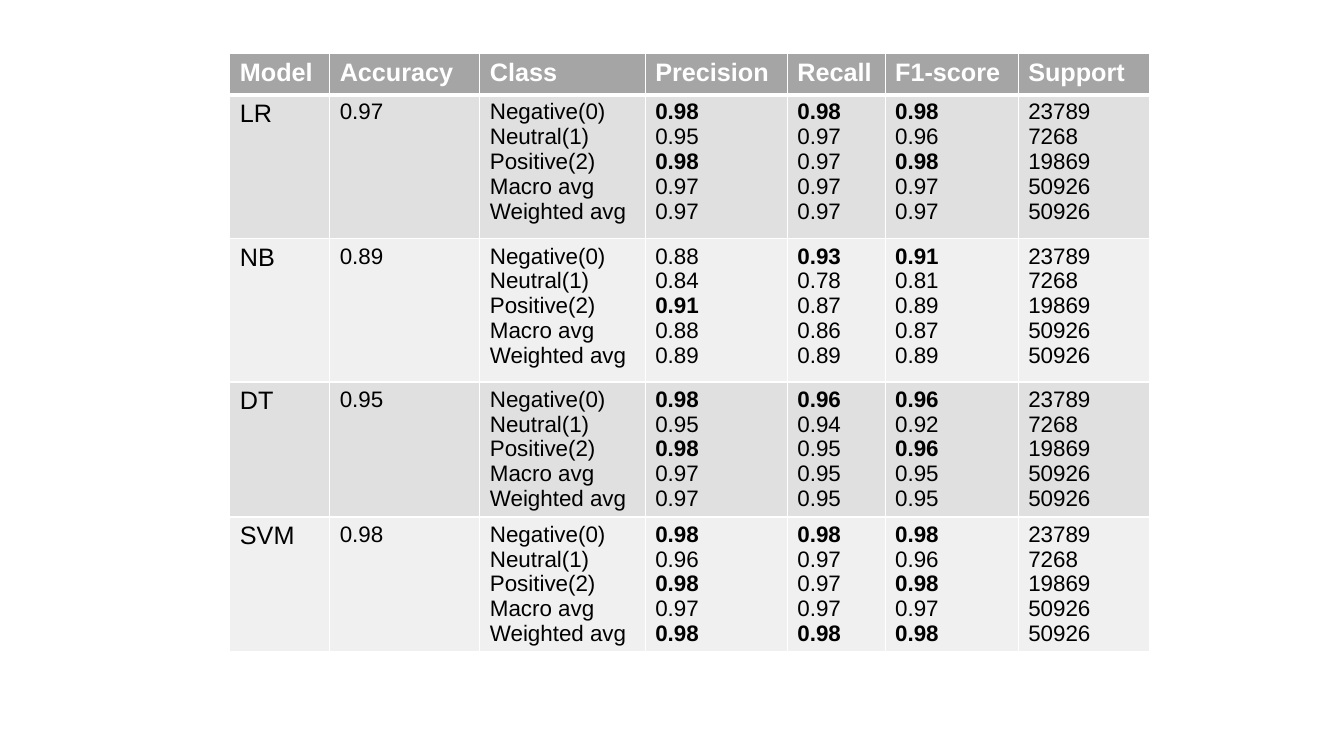
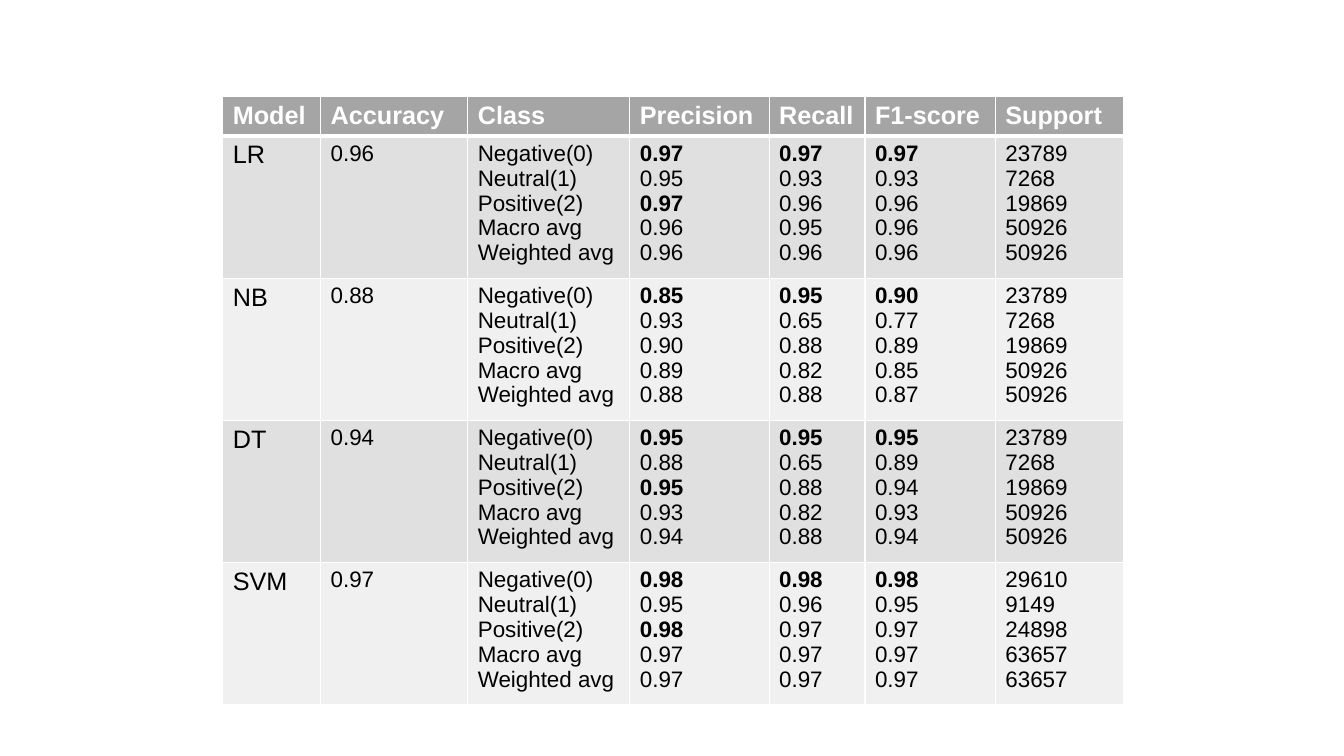
import pptx
import pptx.util
import pptx.dml.color
import pptx.oxml.ns
import lxml.etree

# Theme
THEME = {
    "font": "Arial", "big": 18, "small": 16,
    "head": "A5A5A5", "bands": ("E0E0E0", "F0F0F0"),
    "light": "FFFFFF", "dark": "000000",
    "thin": 1, "thick": 3,
}
SIZE = (13.33, 7.5)

# Content: a star marks a bold score
HEADS = ["Model", "Accuracy", "Class", "Precision", "Recall", "F1-score", "Support"]
CLASSES = ["Negative(0)", "Neutral(1)", "Positive(2)", "Macro avg", "Weighted avg"]
COUNTS = "23789 7268 19869 50926 50926"
COLS = [0.99, 1.49, 1.64, 1.41, 0.97, 1.32, 1.3]

# Each model: name, accuracy, precision, recall, F1-score, support
TABLES = [
    {
        "left": 2.28, "top": 0.53, "scale": 1,
        "rows": [0.41, 1.43, 1.42, 1.34, 1.34],
        "models": [
            ("LR", "0.97", "*0.98 0.95 *0.98 0.97 0.97",
             "*0.98 0.97 0.97 0.97 0.97", "*0.98 0.96 *0.98 0.97 0.97", COUNTS),
            ("NB", "0.89", "0.88 0.84 *0.91 0.88 0.89",
             "*0.93 0.78 0.87 0.86 0.89", "*0.91 0.81 0.89 0.87 0.89", COUNTS),
            ("DT", "0.95", "*0.98 0.95 *0.98 0.97 0.97",
             "*0.96 0.94 0.95 0.95 0.95", "*0.96 0.92 *0.96 0.95 0.95", COUNTS),
            ("SVM", "0.98", "*0.98 0.96 *0.98 0.97 *0.98",
             "*0.98 0.97 0.97 0.97 *0.98", "*0.98 0.96 *0.98 0.97 *0.98", COUNTS),
        ],
    },
    {
        "left": 2.21, "top": 0.96, "scale": 0.98,
        "rows": [0.39] + [1.41] * 4,
        "models": [
            ("LR", "0.96", "*0.97 0.95 *0.97 0.96 0.96",
             "*0.97 0.93 0.96 0.95 0.96", "*0.97 0.93 0.96 0.96 0.96", COUNTS),
            ("NB", "0.88", "*0.85 0.93 0.90 0.89 0.88",
             "*0.95 0.65 0.88 0.82 0.88", "*0.90 0.77 0.89 0.85 0.87", COUNTS),
            ("DT", "0.94", "*0.95 0.88 *0.95 0.93 0.94",
             "*0.95 0.65 0.88 0.82 0.88", "*0.95 0.89 0.94 0.93 0.94", COUNTS),
            ("SVM", "0.97", "*0.98 0.95 *0.98 0.97 0.97",
             "*0.98 0.96 0.97 0.97 0.97", "*0.98 0.95 0.97 0.97 0.97",
             "29610 9149 24898 63657 63657"),
        ],
    },
]


def color(code):
    return pptx.dml.color.RGBColor.from_string(code)


def write(frame, lines, size=THEME["small"], ink=THEME["dark"], bold=False):
    """Write one paragraph per line; a leading star makes it bold."""
    for i, line in enumerate(lines):
        para = frame.paragraphs[0] if i == 0 else frame.add_paragraph()
        run = para.add_run()
        run.text = line.lstrip("*")
        font = run.font
        font.name = THEME["font"]
        font.size = pptx.util.Pt(size)
        font.bold = bold or line.startswith("*")
        font.color.rgb = color(ink)


def edge(cell, top, base):
    """Draw the four white borders of a cell."""
    qn = pptx.oxml.ns.qn
    props = cell._tc.get_or_add_tcPr()
    for side, width in zip("LRTB", (THEME["thin"], THEME["thin"], top, base)):
        line = lxml.etree.SubElement(props, qn("a:ln" + side),
                                     w=str(pptx.util.Pt(width)))
        fill = lxml.etree.SubElement(line, qn("a:solidFill"))
        lxml.etree.SubElement(fill, qn("a:srgbClr"), val=THEME["light"])


def build(slide, data):
    """Add one table of scores to the slide."""
    inch = pptx.util.Inches
    cols = [width * data["scale"] for width in COLS]
    rows = data["rows"]
    grid = slide.shapes.add_table(
        len(rows), len(cols), inch(data["left"]), inch(data["top"]),
        inch(sum(cols)), inch(sum(rows))).table
    for col, width in zip(grid.columns, cols):
        col.width = inch(width)
    for row, height in zip(grid.rows, rows):
        row.height = inch(height)

    # Header texts, then the lines of each model's cells
    body = [[[head] for head in HEADS]]
    for name, rate, *scores in data["models"]:
        body.append([[name], [rate], CLASSES] + [s.split() for s in scores])

    for r, cells in enumerate(body):
        for c, lines in enumerate(cells):
            cell = grid.cell(r, c)
            edge(cell, THEME["thick"] if r == 1 else THEME["thin"],
                 THEME["thick"] if r == 0 else THEME["thin"])
            cell.fill.solid()
            shade = THEME["bands"][(r - 1) % 2] if r else THEME["head"]
            cell.fill.fore_color.rgb = color(shade)
            write(cell.text_frame, lines,
                  size=THEME["big"] if r == 0 or c == 0 else THEME["small"],
                  ink=THEME["dark"] if r else THEME["light"], bold=r == 0)


def main():
    deck = pptx.Presentation()
    deck.slide_width, deck.slide_height = map(pptx.util.Inches, SIZE)
    blank = deck.slide_layouts[6]
    for data in TABLES:
        build(deck.slides.add_slide(blank), data)
    deck.save("out.pptx")


if __name__ == "__main__":
    main()
